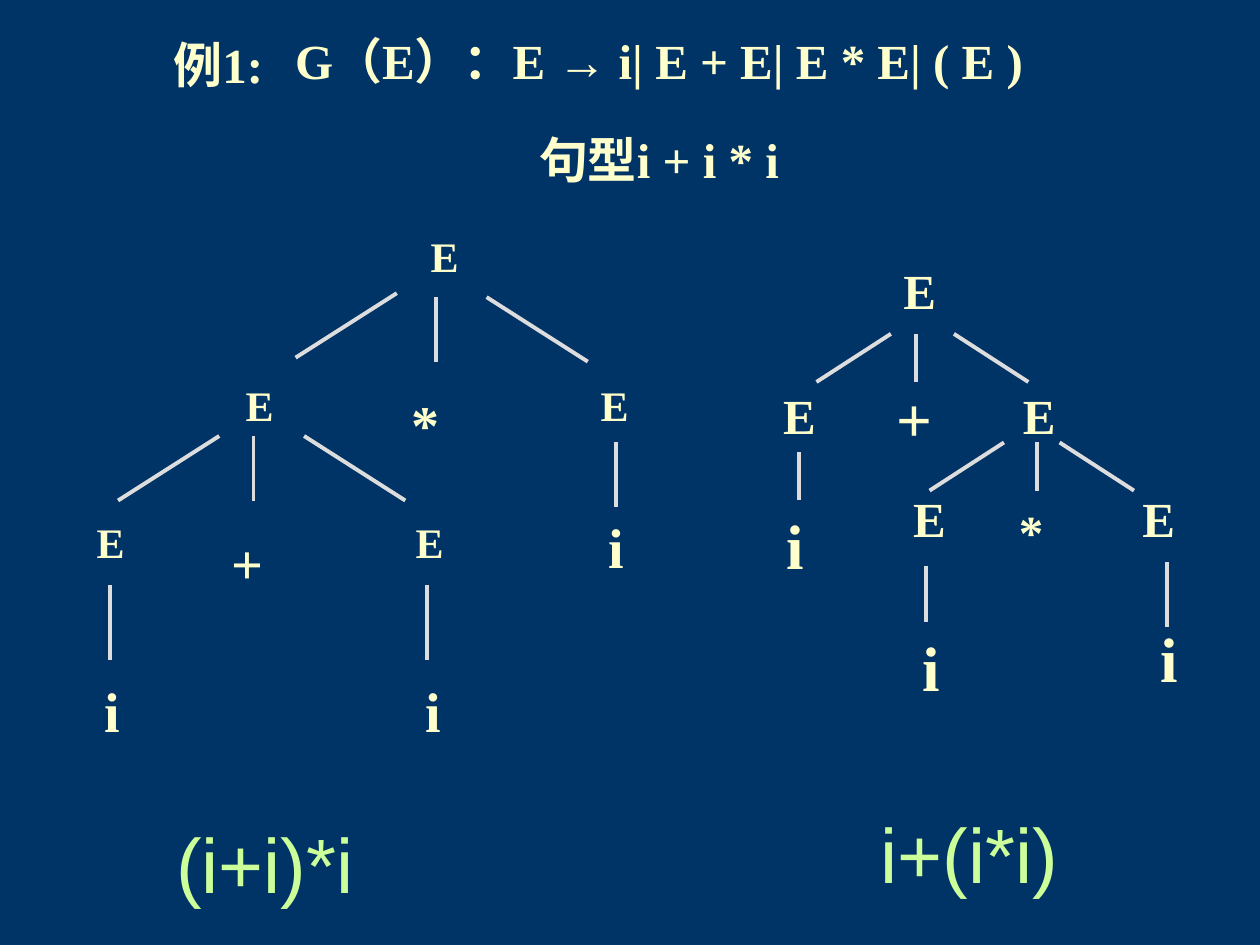
from dataclasses import dataclass
from typing import NamedTuple, Optional

from lxml import etree
from pptx import Presentation
from pptx.dml.color import RGBColor
from pptx.enum.shapes import MSO_CONNECTOR
from pptx.enum.text import MSO_ANCHOR, MSO_AUTO_SIZE, PP_ALIGN
from pptx.oxml.ns import qn
from pptx.util import Cm, Pt

STRAIGHT = MSO_CONNECTOR.STRAIGHT
MIDDLE = MSO_ANCHOR.MIDDLE
CENTER = PP_ALIGN.CENTER
FIT_SHAPE = MSO_AUTO_SIZE.SHAPE_TO_FIT_TEXT
TOP_SIDE = 0


@dataclass(frozen=True)
class Theme:
    background: RGBColor = RGBColor(0x00, 0x33, 0x66)
    text: RGBColor = RGBColor(0xFF, 0xFF, 0xCC)
    result: RGBColor = RGBColor(0xCC, 0xFF, 0x99)
    branch: RGBColor = RGBColor(0xDD, 0xDD, 0xDD)
    serif: str = "Times New Roman"
    sans: str = "Arial"
    title_pt: int = 28
    result_pt: int = 44
    branch_pt: float = 2.25


THEME = Theme()


# All lengths below are in centimetres, type sizes in points
class Node(NamedTuple):
    text: str
    left: float
    top: float
    width: float
    size: int


class Fan(NamedTuple):
    """Three branches; the outer ones start a gap away from the middle one."""
    x: float
    top: float
    run: float
    drop: float
    left_gap: float
    right_gap: float
    left_lift: float = 0


class Stem(NamedTuple):
    x: float
    top: float
    length: float
    child: Optional[int] = None  # index of the node it is joined to


class Tree(NamedTuple):
    nodes: list[Node]
    fans: list[Fan]
    stems: list[Stem]


RIGHT_TREE = Tree(
    nodes=[
        Node("E", 17.96, 5.13, 2.01, 28),
        Node("E", 15.54, 7.65, 2.01, 28),
        Node("+", 17.83, 7.52, 2.01, 36),
        Node("E", 20.37, 7.65, 1.75, 28),
        Node("E", 18.16, 9.73, 1.24, 28),
        Node("*", 20.29, 9.98, 1.5, 28),
        Node("E", 22.78, 9.73, 2.26, 28),
        Node("i", 18.34, 12.55, 1.24, 36),
        Node("i", 23.14, 12.37, 2.26, 36),
        Node("i", 15.6, 10.08, 1, 36),
    ],
    fans=[
        Fan(18.47, 6.73, 1.5, 0.97, 0.51, 0.76),
        Fan(20.9, 8.92, 1.5, 0.97, 0.66, 0.46),
    ],
    stems=[
        Stem(18.67, 11.4, 1.14),
        Stem(23.52, 11.33, 1.3),
        Stem(16.1, 9.12, 0.96, child=9),
    ],
)

LEFT_TREE = Tree(
    nodes=[
        Node("E", 8.43, 4.52, 2.72, 24),
        Node("E", 4.7, 7.52, 2.06, 24),
        Node("*", 8.05, 7.72, 1.78, 32),
        Node("E", 11.86, 7.52, 1.7, 24),
        Node("E", 1.7, 10.29, 1.7, 24),
        Node("+", 4.42, 10.52, 2.72, 32),
        Node("E", 8.13, 10.29, 1.75, 24),
        Node("i", 1.85, 13.51, 2.06, 32),
        Node("i", 8.33, 13.51, 1.37, 32),
        Node("i", 12.01, 10.21, 1.37, 32),
    ],
    fans=[
        Fan(8.79, 5.99, 2.04, 1.3, 0.79, 1.02, left_lift=0.08),
        Fan(5.11, 8.79, 2.04, 1.3, 0.69, 1.02),
    ],
    stems=[
        Stem(2.21, 11.79, 1.52),
        Stem(8.61, 11.79, 1.52),
        Stem(12.42, 8.92, 1.3),
    ],
)


def add_run(p, text: str, size: int, font: str = THEME.serif,
            color: RGBColor = THEME.text, bold: bool = True) -> None:
    r = p.add_run()
    r.text = text
    r.font.size = Pt(size)
    r.font.name = font
    r.font.bold = bold
    r.font.color.rgb = color


def add_label(shapes, node: Node, wrap: bool = True, **style):
    """One line of text in a box as high as that line and its insets."""
    height = 0.25 + 1.2 * node.size * 2.54 / 72
    sp = shapes.add_textbox(Cm(node.left), Cm(node.top), Cm(node.width), Cm(height))
    tf = sp.text_frame
    tf.word_wrap = wrap
    tf.auto_size = FIT_SHAPE
    add_run(tf.paragraphs[0], node.text, node.size, **style)
    return sp


def add_branch(shapes, x1: float, y1: float, x2: float, y2: float):
    line = shapes.add_connector(STRAIGHT, Cm(x1), Cm(y1), Cm(x2), Cm(y2))
    line.line.color.rgb = THEME.branch
    line.line.width = Pt(THEME.branch_pt)
    etree.SubElement(line._element.spPr, qn("a:effectLst"))
    return line


def add_fan(shapes, fan: Fan) -> None:
    bottom = fan.top + fan.drop
    left, right = fan.x - fan.left_gap, fan.x + fan.right_gap
    add_branch(shapes, left, fan.top - fan.left_lift,
               left - fan.run, bottom - fan.left_lift)
    add_branch(shapes, fan.x, fan.top, fan.x, bottom)
    add_branch(shapes, right, fan.top, right + fan.run, bottom)


def add_tree(slide, tree: Tree) -> None:
    shapes = slide.shapes.add_group_shape().shapes
    labels = [add_label(shapes, node) for node in tree.nodes]
    for fan in tree.fans:
        add_fan(shapes, fan)
    for stem in tree.stems:
        line = add_branch(shapes, stem.x, stem.top, stem.x, stem.top + stem.length)
        if stem.child is not None:
            line.end_connect(labels[stem.child], TOP_SIDE)


def add_title(slide) -> None:
    sp = slide.shapes.add_textbox(Cm(2.49), Cm(0.71), Cm(21.59), Cm(3.18))
    tf = sp.text_frame
    tf.word_wrap = True
    tf.vertical_anchor = MIDDLE
    grammar, sentence = tf.paragraphs[0], tf.add_paragraph()
    for p in (grammar, sentence):
        p.alignment = CENTER
        p.line_spacing = 0.85
    sentence.space_before = Pt(28)
    add_run(grammar, "G（E）：E ", THEME.title_pt)
    add_run(grammar, "→", THEME.title_pt, font=THEME.sans)
    add_run(grammar, " i| E + E| E * E| ( E )", THEME.title_pt)
    add_run(sentence, "句型i + i * i", THEME.title_pt)


def main() -> None:
    prs = Presentation()
    prs.slide_width, prs.slide_height = Cm(25.4), Cm(19.05)
    slide = prs.slides.add_slide(prs.slide_layouts[6])
    slide.background.fill.solid()
    slide.background.fill.fore_color.rgb = THEME.background

    # Parse trees
    for tree in (RIGHT_TREE, LEFT_TREE):
        add_tree(slide, tree)

    # Grammar and sentence
    add_title(slide)

    # Reading given by each tree
    for text, left, top in (("(i+i)*i", 3.3, 16.33), ("i+(i*i)", 17.5, 16.13)):
        add_label(slide.shapes, Node(text, left, top, 4.09, THEME.result_pt),
                  wrap=False, font=THEME.sans, color=THEME.result, bold=False)

    # Example number
    add_label(slide.shapes, Node("例1:", 3.25, 0.58, 2.54, THEME.title_pt), wrap=False)

    prs.save("out.pptx")


if __name__ == "__main__":
    main()
